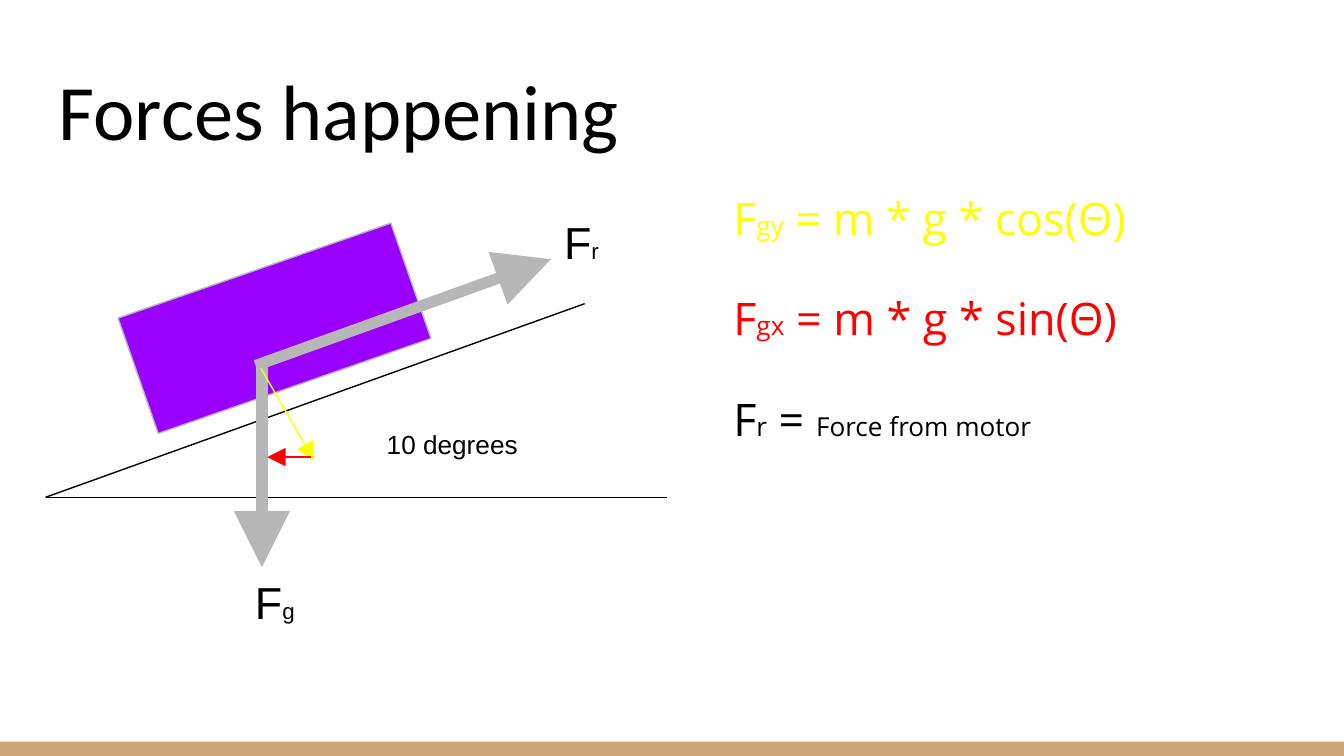
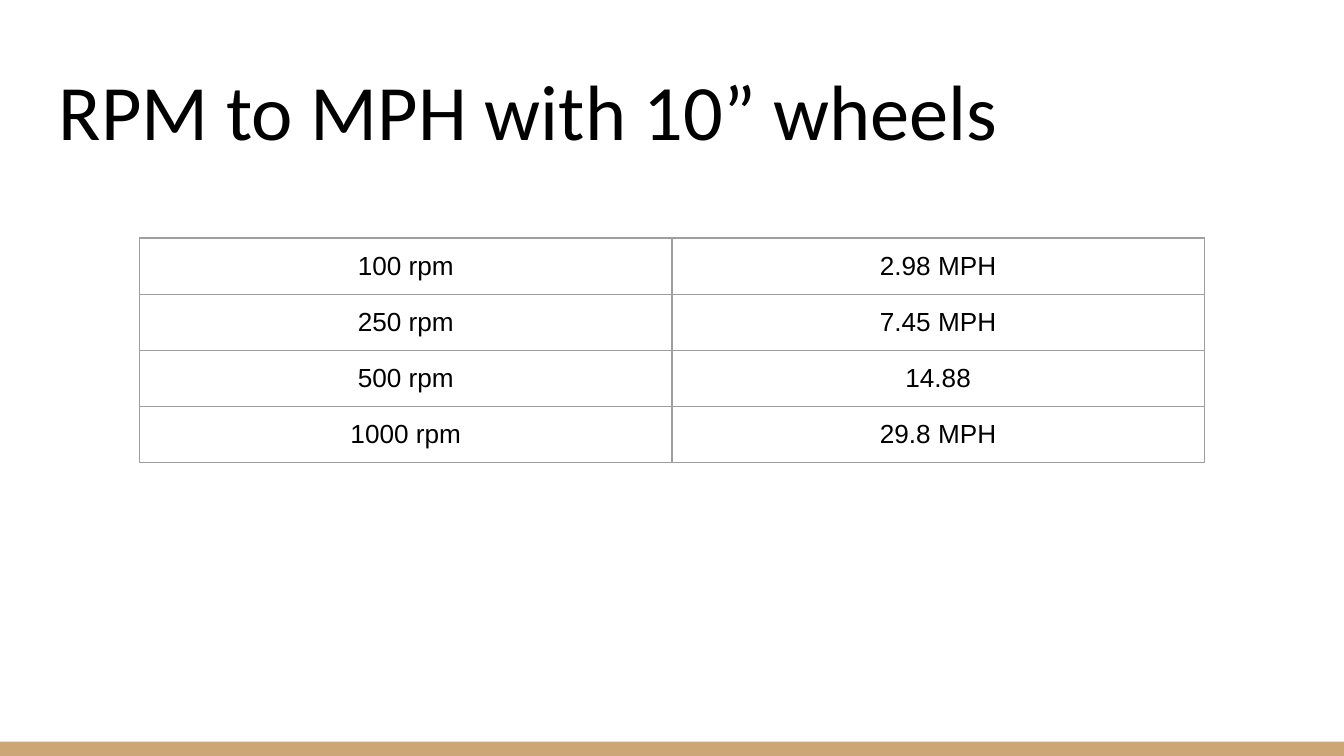
"""Build two slides: forces on a ramp and a table of wheel speeds."""
from typing import NamedTuple

from lxml import etree
from pptx import Presentation
from pptx import util as u
from pptx.dml.color import RGBColor
from pptx.enum import shapes, text
from pptx.oxml import ns

BLACK = RGBColor(0x00, 0x00, 0x00)
WHITE = RGBColor(0xFF, 0xFF, 0xFF)
TAN = RGBColor(0xCC, 0xA6, 0x77)
PURPLE = RGBColor(0x99, 0x00, 0xFF)
GRAY = RGBColor(0xB7, 0xB7, 0xB7)
BORDER = RGBColor(0x9E, 0x9E, 0x9E)
YELLOW = RGBColor(0xFF, 0xFF, 0x00)
RED = RGBColor(0xFF, 0x00, 0x00)

TITLE_FONT, LABEL_FONT, FORMULA_FONT = "Calibri", "Arial", "Open Sans"
WIDTH, HEIGHT = 25.4, 14.29
BAND_HEIGHT = 0.27
INSET = u.Cm(0.25)
THIN, THICK = 0.75, 6


class Box(NamedTuple):
    """Left, top, width and height in centimetres."""
    left: float
    top: float
    width: float
    height: float

    def lengths(self) -> list:
        return [u.Cm(value) for value in self]


class Piece(NamedTuple):
    """A stretch of text in one size."""
    words: str
    size: float


class Line(NamedTuple):
    """A line of pieces in one colour."""
    pieces: tuple
    color: RGBColor = BLACK


class Label(NamedTuple):
    """A text box with its lines."""
    box: Box
    lines: tuple
    font: str = LABEL_FONT
    gap: float = 0


class Stroke(NamedTuple):
    """A straight line or arrow."""
    start: tuple
    end: tuple
    color: RGBColor = BLACK
    width: float = THIN
    arrow: bool = False


TITLE_BOX = Box(0.86, 0.89, 23.67, 2.31)
BLOCK_BOX = Box(2.46, 5.05, 5.46, 2.31)
BLOCK_ROTATION = 340.8
RAMP_FOOT = (0.86, 9.4)

RAMP = (
    Stroke(RAMP_FOOT, (12.6, 9.4)),
    Stroke(RAMP_FOOT, (11.05, 5.74)),
)
MAIN_FORCES = (
    Stroke((4.95, 6.88), (4.95, 10.72), GRAY, THICK, True),
    Stroke((4.83, 6.91), (10.41, 4.9), GRAY, THICK, True),
)
COMPONENTS = (
    Stroke((4.93, 6.96), (5.94, 8.71), YELLOW, arrow=True),
    Stroke((5.87, 8.64), (5.05, 8.64), RED, arrow=True),
)


def force(subscript: str, size: float) -> tuple:
    """Return the pieces of a force symbol."""
    return Piece("F", 24), Piece(subscript, size)


FORMULAS = (
    Line((*force("gy", 14), Piece(" = m * g * cos(Θ)", 24)), YELLOW),
    Line((*force("gx", 14), Piece(" = m * g * sin(Θ)", 24)), RED),
    Line((*force("r", 14), Piece(" = ", 24), Piece("Force from motor", 14))),
)
LABELS = (
    Label(Box(7.06, 7.85, 5.05, 1.73), (Line((Piece("10 degrees", 14),)),)),
    Label(Box(4.57, 10.62, 2.31, 1.73), (Line(force("g", 12)),)),
    Label(Box(10.41, 3.81, 2.31, 1.73), (Line(force("r", 12)),)),
    Label(Box(13.61, 3.35, 9.19, 9.22), FORMULAS, FORMULA_FONT, 25),
)
SPEEDS = (
    ("100 rpm", "2.98 MPH"),
    ("250 rpm", "7.45 MPH"),
    ("500 rpm", "14.88"),
    ("1000 rpm", "29.8 MPH"),
)
TABLE_LEFT, TABLE_TOP = 2.64, 4.5
COLUMN_WIDTH, ROW_HEIGHT = 10.06, 1.06


def set_font(font, name: str, size: float, color: RGBColor = BLACK) -> None:
    """Set name, size and colour of a font."""
    font.name = name
    font.size = u.Pt(size)
    font.color.rgb = color


def set_margins(holder) -> None:
    """Give a text frame or cell equal insets."""
    holder.margin_left = holder.margin_right = INSET
    holder.margin_top = holder.margin_bottom = INSET


def add_rectangle(slide, box: Box, fill: RGBColor):
    """Draw a plain rectangle without outline."""
    shape = slide.shapes.add_shape(shapes.MSO_SHAPE.RECTANGLE, *box.lengths())
    shape.shadow.inherit = False
    shape.fill.solid()
    shape.fill.fore_color.rgb = fill
    shape.line.fill.background()
    return shape


def add_stroke(slide, stroke: Stroke) -> None:
    """Draw a line, with an arrowhead if asked."""
    points = [u.Cm(value) for value in (*stroke.start, *stroke.end)]
    connector = slide.shapes.add_connector(
        shapes.MSO_CONNECTOR.STRAIGHT, *points)
    connector.line.color.rgb = stroke.color
    connector.line.width = u.Pt(stroke.width)
    if stroke.arrow:
        etree.SubElement(connector.line._get_or_add_ln(), ns.qn("a:tailEnd"),
                         type="triangle", w="lg", len="lg")
    etree.SubElement(connector._element.spPr, ns.qn("a:effectLst"))


def add_label(slide, label: Label) -> None:
    """Write the lines of a label in a text box."""
    frame = slide.shapes.add_textbox(*label.box.lengths()).text_frame
    frame.word_wrap = True
    set_margins(frame)
    for index, line in enumerate(label.lines):
        paragraph = frame.add_paragraph() if index else frame.paragraphs[0]
        if index:
            paragraph.space_before = u.Pt(label.gap)
        for piece in line.pieces:
            run = paragraph.add_run()
            run.text = piece.words
            set_font(run.font, label.font, piece.size, line.color)


def add_slide(presentation, heading: str):
    """Add a slide with the shared band and title."""
    slide = presentation.slides.add_slide(presentation.slide_layouts[5])
    slide.background.fill.solid()
    slide.background.fill.fore_color.rgb = WHITE
    add_rectangle(slide, Box(0, HEIGHT - BAND_HEIGHT, WIDTH, BAND_HEIGHT), TAN)
    title = slide.shapes.title
    title.left, title.top, title.width, title.height = TITLE_BOX.lengths()
    frame = title.text_frame
    frame.text = heading
    frame.word_wrap = True
    frame.auto_size = text.MSO_AUTO_SIZE.NONE
    frame.vertical_anchor = text.MSO_ANCHOR.BOTTOM
    set_margins(frame)
    paragraph = frame.paragraphs[0]
    paragraph.alignment = text.PP_ALIGN.LEFT
    set_font(paragraph.runs[0].font, TITLE_FONT, 42)
    return slide


def format_cell(cell, words: str) -> None:
    """Fill in a table cell and draw its borders."""
    properties = cell._tc.get_or_add_tcPr()
    for side in ("lnL", "lnR", "lnT", "lnB"):
        border = etree.SubElement(properties, ns.qn(f"a:{side}"),
                                  w=str(u.Pt(THIN)))
        fill = etree.SubElement(border, ns.qn("a:solidFill"))
        etree.SubElement(fill, ns.qn("a:srgbClr"), val=str(BORDER))
    cell.fill.background()
    cell.text_frame.text = words
    cell.vertical_anchor = text.MSO_ANCHOR.MIDDLE
    set_margins(cell)
    paragraph = cell.text_frame.paragraphs[0]
    paragraph.alignment = text.PP_ALIGN.CENTER
    set_font(paragraph.runs[0].font, LABEL_FONT, 14)


def add_forces_slide(presentation) -> None:
    """Draw the block on the ramp with its forces."""
    slide = add_slide(presentation, "Forces happening")
    for stroke in RAMP:
        add_stroke(slide, stroke)
    block = add_rectangle(slide, BLOCK_BOX, PURPLE)
    block.rotation = BLOCK_ROTATION
    block.line.color.rgb = GRAY
    block.line.width = u.Pt(THIN)
    for stroke in MAIN_FORCES:
        add_stroke(slide, stroke)
    for label in LABELS:
        add_label(slide, label)
    for stroke in COMPONENTS:
        add_stroke(slide, stroke)


def add_speeds_slide(presentation) -> None:
    """Tabulate wheel speeds."""
    slide = add_slide(presentation, "RPM to MPH with 10” wheels")
    rows, columns = len(SPEEDS), len(SPEEDS[0])
    box = Box(TABLE_LEFT, TABLE_TOP, columns * COLUMN_WIDTH, rows * ROW_HEIGHT)
    table = slide.shapes.add_table(rows, columns, *box.lengths()).table
    table.first_row = table.horz_banding = False
    for row, values in enumerate(SPEEDS):
        for column, words in enumerate(values):
            format_cell(table.cell(row, column), words)


def main() -> None:
    """Build and save the presentation."""
    presentation = Presentation()
    presentation.slide_width = u.Cm(WIDTH)
    presentation.slide_height = u.Cm(HEIGHT)
    add_forces_slide(presentation)
    add_speeds_slide(presentation)
    presentation.save("out.pptx")


if __name__ == "__main__":
    main()
